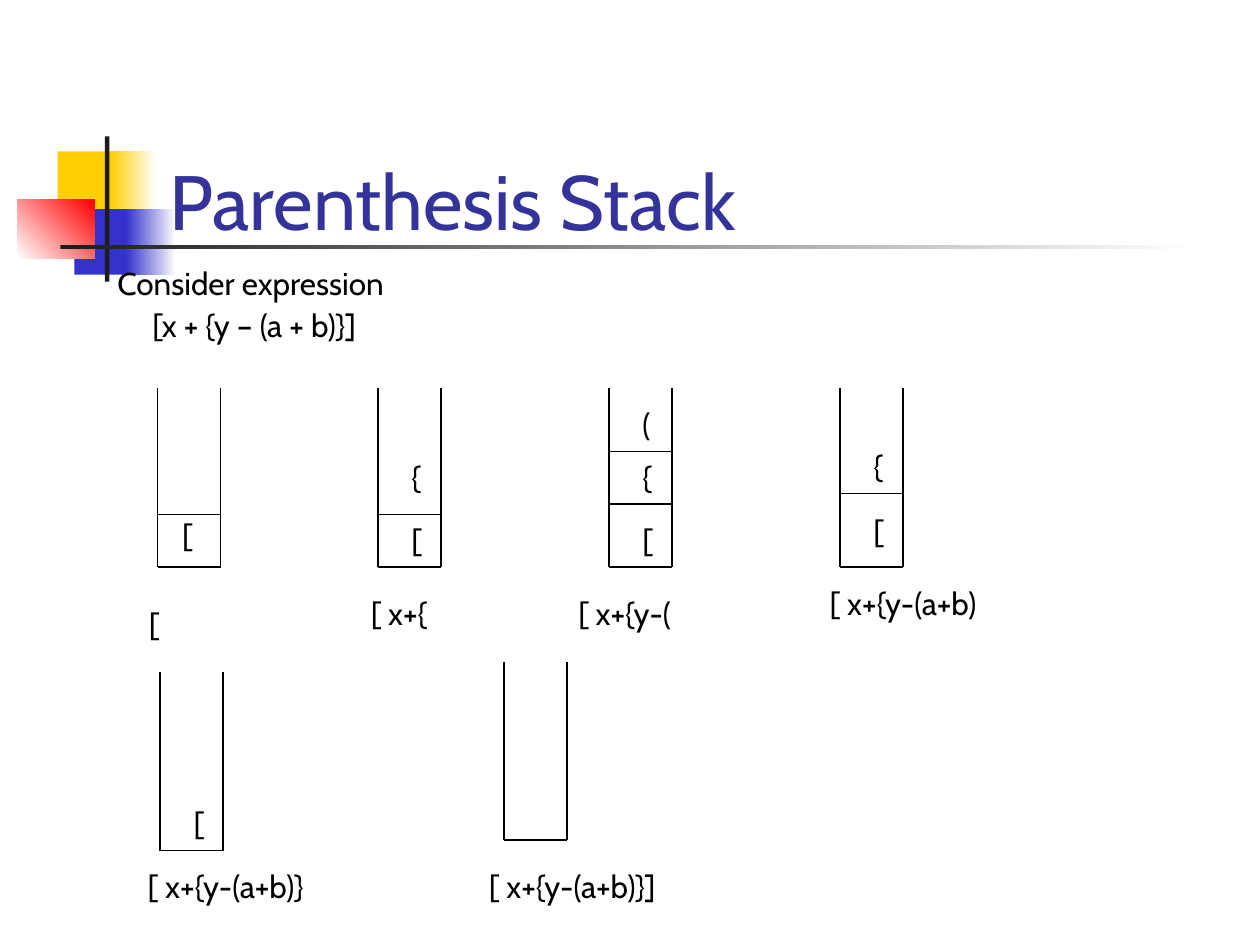
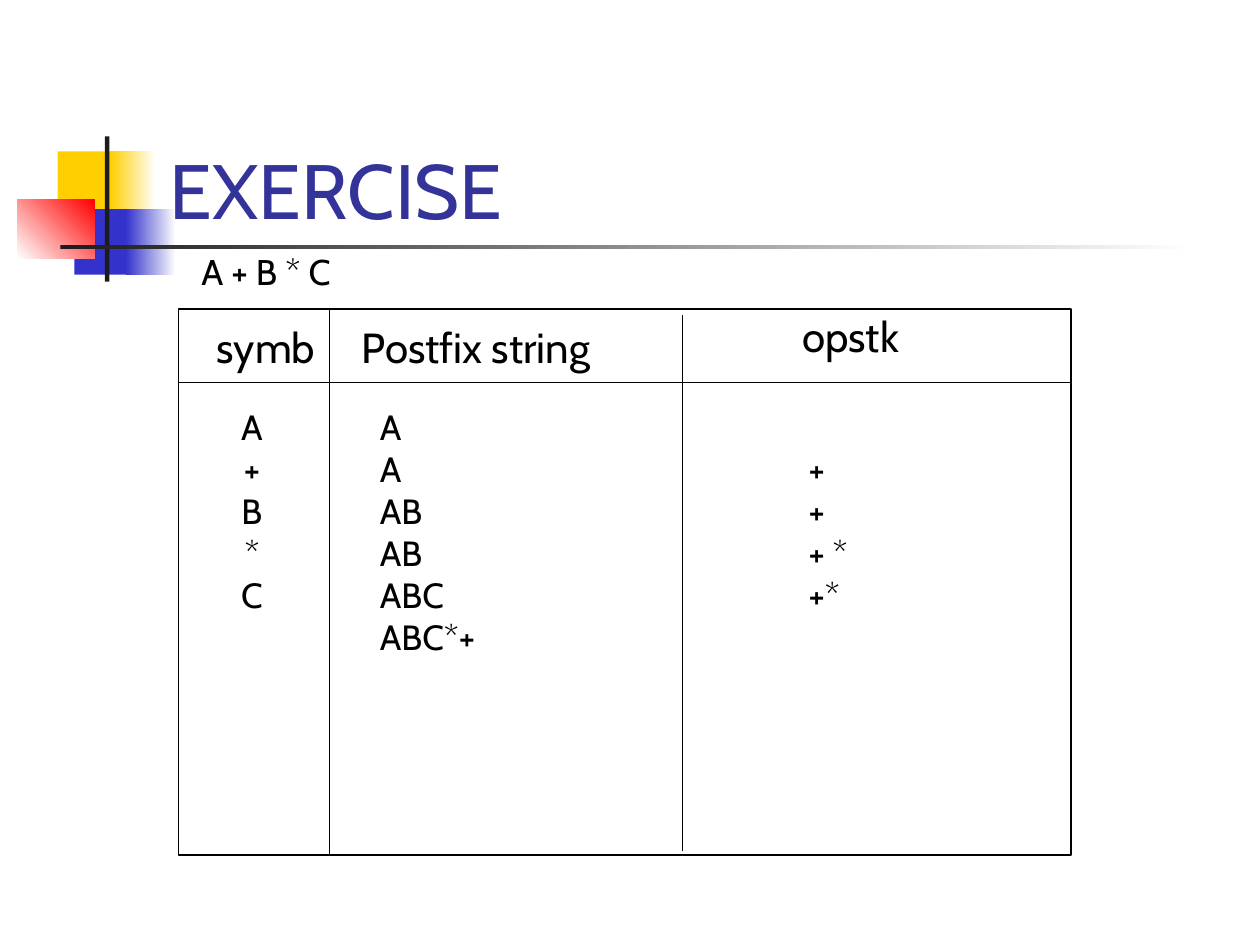
"""Build two slides on parenthesis matching and infix-to-postfix conversion."""
from dataclasses import dataclass
from typing import Optional

import pptx
import pptx.dml.color
import pptx.enum.shapes
import pptx.enum.text
import pptx.oxml
import pptx.util
from pptx.oxml import ns

Pt = pptx.util.Pt
RGB = pptx.dml.color.RGBColor
ALIGN = pptx.enum.text.PP_ALIGN
ANCHOR = pptx.enum.text.MSO_ANCHOR

FONT = "Cabin"
BLACK = RGB(0x00, 0x00, 0x00)
WHITE = RGB(0xFF, 0xFF, 0xFF)
INK = RGB(0x1C, 0x1C, 0x1C)
NAVY = RGB(0x33, 0x33, 0x99)
BLUE = RGB(0x33, 0x33, 0xCC)
YELLOW = RGB(0xFF, 0xCF, 0x01)
RED = RGB(0xFF, 0x00, 0x00)

STACK_WIDTH, STACK_HEIGHT = 36, 102
LINE_WIDTH = 0.75


@dataclass(frozen=True)
class Block:
    """A borderless block, plain or fading from one colour to another."""
    left: float
    top: float
    width: float
    height: float
    color: RGB
    fade_to: Optional[RGB] = None
    angle: float = 0


@dataclass(frozen=True)
class Label:
    """A piece of text with one paragraph per line."""
    text: str
    left: float
    top: float
    width: float
    height: float = 29
    size: float = 18
    align: ALIGN = ALIGN.CENTER
    color: RGB = BLACK
    anchor: ANCHOR = ANCHOR.TOP


@dataclass(frozen=True)
class Stack:
    """An open stack with shelf heights, symbols by top, and a caption."""
    left: float
    top: float
    shelves: tuple[float, ...]
    symbols: tuple[tuple[str, float], ...]
    caption: Label
    symbol_dx: float = 12


DECORATION = (
    Block(33, 86.5, 34.5, 37.5, YELLOW),
    Block(63, 86.5, 26, 37.5, YELLOW, WHITE),
    Block(42.5, 119.5, 33, 37.5, BLUE),
    Block(72, 119.5, 28.5, 37.5, BLUE, WHITE),
    Block(10, 114, 44, 33.5, WHITE, RED, 45),
    Block(60, 78, 2.5, 83, INK),
    Block(34.5, 140, 648, 2.5, INK, WHITE),
)

STACKS = (
    Stack(90, 222, (294,), (("[", 291.5),), Label("[", 78, 342, 18), 7),
    Stack(216, 222, (294,), (("[", 294), ("{", 258)), Label("[ x+{", 198, 336, 60)),
    Stack(348, 222, (288, 258), (("[", 294), ("{", 258), ("(", 228)),
          Label("[ x+{y-(", 312, 336, 90)),
    Stack(480, 222, (282,), (("[", 289), ("{", 252)), Label("[ x+{y-(a+b)", 450, 330, 132)),
    Stack(91.5, 384, (), (("[", 456),), Label("[ x+{y-(a+b)}", 60, 492, 138)),
    Stack(288, 378, (), (), Label("[ x+{y-(a+b)}]", 258, 492, 138)),
)

TRACE = (
    Label("symb", 114.5, 180, 75, 36, 24),
    Label("Postfix string", 196.5, 180, 151, 36, 24),
    Label("opstk", 432, 174, 108, 36, 24),
    Label("A\n+\nB\n*\nC", 108, 228, 72, 127, 20),
    Label("A\nA\nAB\nAB\nABC\nABC*+", 210, 228, 118, 176, 20, ALIGN.LEFT),
    Label("+\n+\n+ *\n+*", 455, 252, 79, 104, 20, ALIGN.LEFT),
)


def add_block(s: pptx.slide.Slide, block: Block) -> None:
    """Draw a plain or fading block."""
    sp = s.shapes.add_shape(pptx.enum.shapes.MSO_SHAPE.RECTANGLE, Pt(block.left),
                            Pt(block.top), Pt(block.width), Pt(block.height))
    sp.shadow.inherit = False
    sp.line.fill.background()
    if block.fade_to is None:
        sp.fill.solid()
        sp.fill.fore_color.rgb = block.color
        return
    sp.fill.gradient()
    sp.fill.gradient_angle = block.angle
    for stop, color in zip(sp.fill.gradient_stops, (block.color, block.fade_to)):
        stop.color.rgb = color


def add_label(s: pptx.slide.Slide, label: Label) -> pptx.text.text.TextFrame:
    """Write a label and return its text frame."""
    sp = s.shapes.add_textbox(Pt(label.left), Pt(label.top), Pt(label.width), Pt(label.height))
    tf = sp.text_frame
    tf.word_wrap = True
    tf.vertical_anchor = label.anchor
    tf.text = label.text
    for p in tf.paragraphs:
        p.alignment = label.align
        for r in p.runs:
            r.font.name = FONT
            r.font.size = Pt(label.size)
            r.font.color.rgb = label.color
    return tf


def add_line(s: pptx.slide.Slide, x1: float, y1: float, x2: float, y2: float) -> None:
    """Draw a thin black line."""
    line = s.shapes.add_connector(pptx.enum.shapes.MSO_CONNECTOR.STRAIGHT,
                                  Pt(x1), Pt(y1), Pt(x2), Pt(y2))
    line.line.color.rgb = BLACK
    line.line.width = Pt(LINE_WIDTH)
    line._element.spPr.append(pptx.oxml.parse_xml(f"<a:effectLst {ns.nsdecls('a')}/>"))


def add_stack(s: pptx.slide.Slide, stack: Stack) -> None:
    """Draw a stack with its symbols and caption."""
    right, bottom = stack.left + STACK_WIDTH, stack.top + STACK_HEIGHT
    for x in (stack.left, right):
        add_line(s, x, stack.top, x, bottom)
    for y in (bottom, *stack.shelves):
        add_line(s, stack.left, y, right, y)
    for symbol, top in stack.symbols:
        add_label(s, Label(symbol, stack.left + stack.symbol_dx, top, 18))
    add_label(s, stack.caption)


def add_titled_slide(prs: pptx.presentation.Presentation, title: str,
                     top: float) -> pptx.slide.Slide:
    """Add a decorated slide with a title."""
    s = prs.slides.add_slide(prs.slide_layouts[6])
    for block in DECORATION:
        add_block(s, block)
    add_label(s, Label(title, 90, top, 613, 90, 44, ALIGN.LEFT, NAVY, ANCHOR.BOTTOM))
    return s


def build_parenthesis_stack(prs: pptx.presentation.Presentation) -> None:
    """Build the slide that traces the parenthesis stack."""
    s = add_titled_slide(prs, "Parenthesis Stack", 54)
    tf = add_label(s, Label("Consider expression\n[x + {y – (a + b)}]",
                            60, 150, 624, 54, align=ALIGN.LEFT))
    for p in tf.paragraphs:
        p.line_spacing = 0.9
    expression = tf.paragraphs[1]
    expression.space_before = Pt(4.5)
    expression._p.get_or_add_pPr().set("marL", str(Pt(20)))
    for stack in STACKS:
        add_stack(s, stack)


def build_exercise(prs: pptx.presentation.Presentation) -> None:
    """Build the slide that traces a postfix conversion."""
    s = add_titled_slide(prs, "EXERCISE", 48)
    add_label(s, Label("A + B * C", 108, 139, 612, 32, 20.4, ALIGN.LEFT))
    left, top, width, height = 102, 176.5, 510, 312
    frame = s.shapes.add_shape(pptx.enum.shapes.MSO_SHAPE.RECTANGLE,
                               Pt(left), Pt(top), Pt(width), Pt(height))
    frame.shadow.inherit = False
    frame.fill.background()
    frame.line.color.rgb = BLACK
    frame.line.width = Pt(LINE_WIDTH)
    add_line(s, 188.5, top, 188.5, top + height)
    add_line(s, left, 218.5, left + width, 218.5)
    add_line(s, 390, 180, 390, 486)
    for label in TRACE:
        add_label(s, label)


def main() -> None:
    """Build and save the presentation."""
    prs = pptx.Presentation()
    prs.slide_width, prs.slide_height = Pt(720), Pt(540)
    build_parenthesis_stack(prs)
    build_exercise(prs)
    prs.save("out.pptx")


if __name__ == "__main__":
    main()
